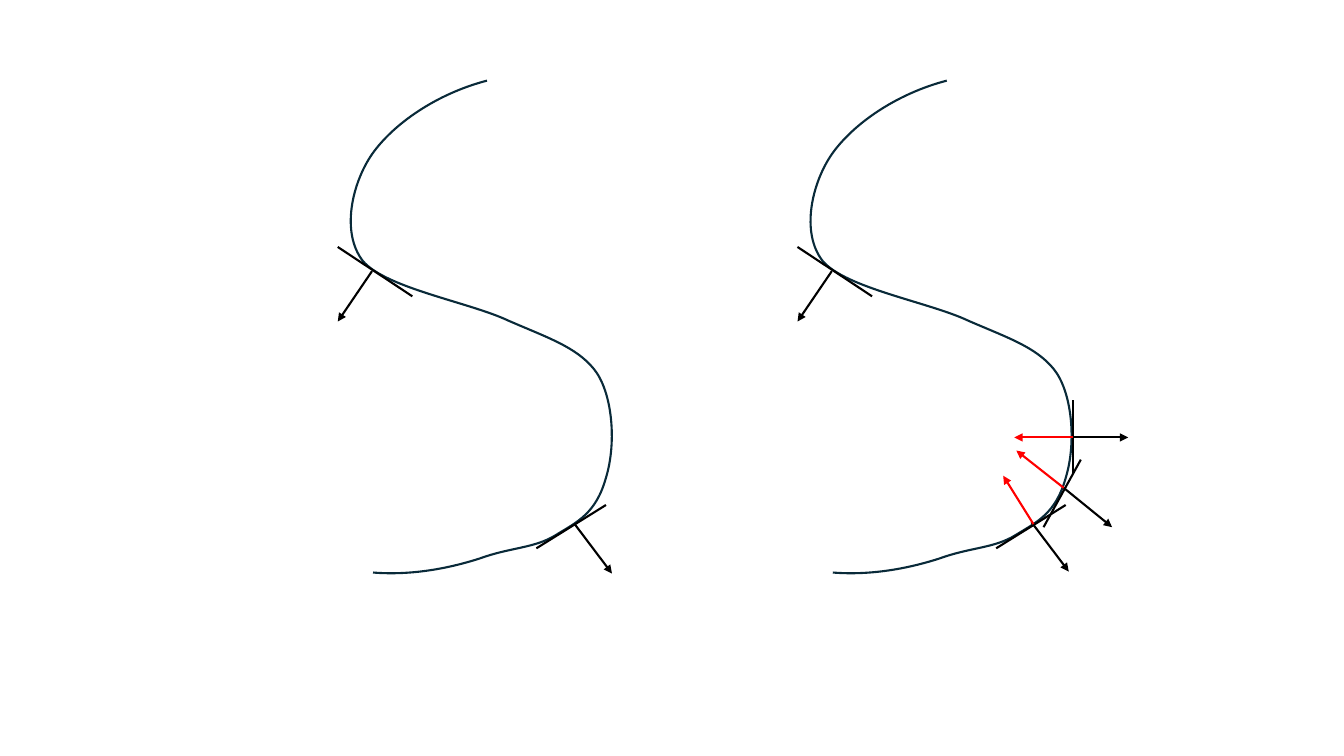
from pptx import Presentation
from pptx.dml.color import RGBColor
from pptx.enum.shapes import MSO_CONNECTOR
from pptx.oxml.ns import qn
from pptx.util import Inches, Pt
from lxml import etree

STRAIGHT = MSO_CONNECTOR.STRAIGHT

THEME = {
    "curve": RGBColor(0x09, 0x2A, 0x39),
    "normal": RGBColor(0, 0, 0),
    "inward": RGBColor(0xFF, 0, 0),
    "line": Pt(1.5),
}

# Content: the left curve; the right one is the same, moved sideways
PANEL_SHIFT = 4.56
CURVE_BOX = (3.48, 0.8, 6.07, 5.68)  # left, top, right, bottom
CURVE_START = (4.83, 0.8)
CURVE_BENDS = [  # two control points and an end point each
    [(4.33, 0.93), (3.9, 1.23), (3.69, 1.53)],
    [(3.49, 1.82), (3.38, 2.31), (3.6, 2.59)],
    [(3.83, 2.86), (4.66, 3.0), (5.04, 3.18)],
    [(5.43, 3.35), (5.71, 3.44), (5.89, 3.66)],
    [(6.07, 3.88), (6.12, 4.38), (6.01, 4.74)],
    [(5.91, 5.1), (5.72, 5.18), (5.51, 5.31)],
    [(5.3, 5.44), (5.06, 5.43), (4.76, 5.54)],
    [(4.45, 5.64), (4.08, 5.71), (3.7, 5.68)],
]

# Lines: start, end
SHARED_TANGENTS = [((5.32, 5.44), (6.01, 5.01)), ((3.35, 2.45), (4.09, 2.94))]
SHARED_NORMALS = [((3.69, 2.69), (3.35, 3.19))]
LEFT_NORMALS = [((5.7, 5.2), (6.07, 5.69))]
RIGHT_TANGENTS = [((10.64, 4.7), (10.64, 3.97)), ((10.35, 5.23), (10.72, 4.56))]
RIGHT_NORMALS = [
    ((10.23, 5.18), (10.6, 5.67)),
    ((10.64, 4.34), (11.19, 4.34)),
    ((10.55, 4.84), (11.03, 5.23)),
]
INWARD_NORMALS = [
    ((10.64, 4.34), (10.06, 4.34)),
    ((10.55, 4.84), (10.08, 4.47)),
    ((10.25, 5.2), (9.95, 4.72)),
]


def add_curve(slide, shift):
    left, top, right, bottom = CURVE_BOX
    builder = slide.shapes.build_freeform(Inches(left + shift), Inches(top))
    builder.add_line_segments([(Inches(right + shift), Inches(bottom))], close=False)
    shape = builder.convert_to_shape()
    shape.shadow.inherit = False
    shape.fill.background()
    shape.line.color.rgb = THEME["curve"]
    shape.line.width = THEME["line"]

    # Draw the outline as cubic curves inside the box
    outline = shape._element.find(".//" + qn("a:path"))
    for segment in list(outline):
        outline.remove(segment)
    commands = [("a:moveTo", [CURVE_START])]
    commands += [("a:cubicBezTo", bend) for bend in CURVE_BENDS]
    for command, points in commands:
        segment = etree.SubElement(outline, qn(command))
        for x, y in points:
            point = etree.SubElement(segment, qn("a:pt"))
            point.set("x", str(Inches(x - left)))
            point.set("y", str(Inches(y - top)))


def add_lines(slide, lines, color, shift=0, arrow=False):
    for (x1, y1), (x2, y2) in lines:
        connector = slide.shapes.add_connector(
            STRAIGHT, Inches(x1 + shift), Inches(y1), Inches(x2 + shift), Inches(y2))
        connector.line.color.rgb = color
        connector.line.width = THEME["line"]
        properties = connector._element.spPr
        etree.SubElement(properties, qn("a:effectLst"))
        if arrow:
            head = etree.SubElement(properties.find(qn("a:ln")), qn("a:tailEnd"))
            head.set("type", "triangle")


def main():
    presentation = Presentation()
    presentation.slide_width = Inches(13.33)
    presentation.slide_height = Inches(7.5)
    slide = presentation.slides.add_slide(presentation.slide_layouts[6])

    # Both panels
    for shift in (0, PANEL_SHIFT):
        add_curve(slide, shift)
        add_lines(slide, SHARED_TANGENTS, THEME["normal"], shift)
        add_lines(slide, SHARED_NORMALS, THEME["normal"], shift, arrow=True)

    # Lines of one panel only
    add_lines(slide, RIGHT_TANGENTS, THEME["normal"])
    add_lines(slide, LEFT_NORMALS + RIGHT_NORMALS, THEME["normal"], arrow=True)
    add_lines(slide, INWARD_NORMALS, THEME["inward"], arrow=True)

    presentation.save("out.pptx")


if __name__ == "__main__":
    main()
